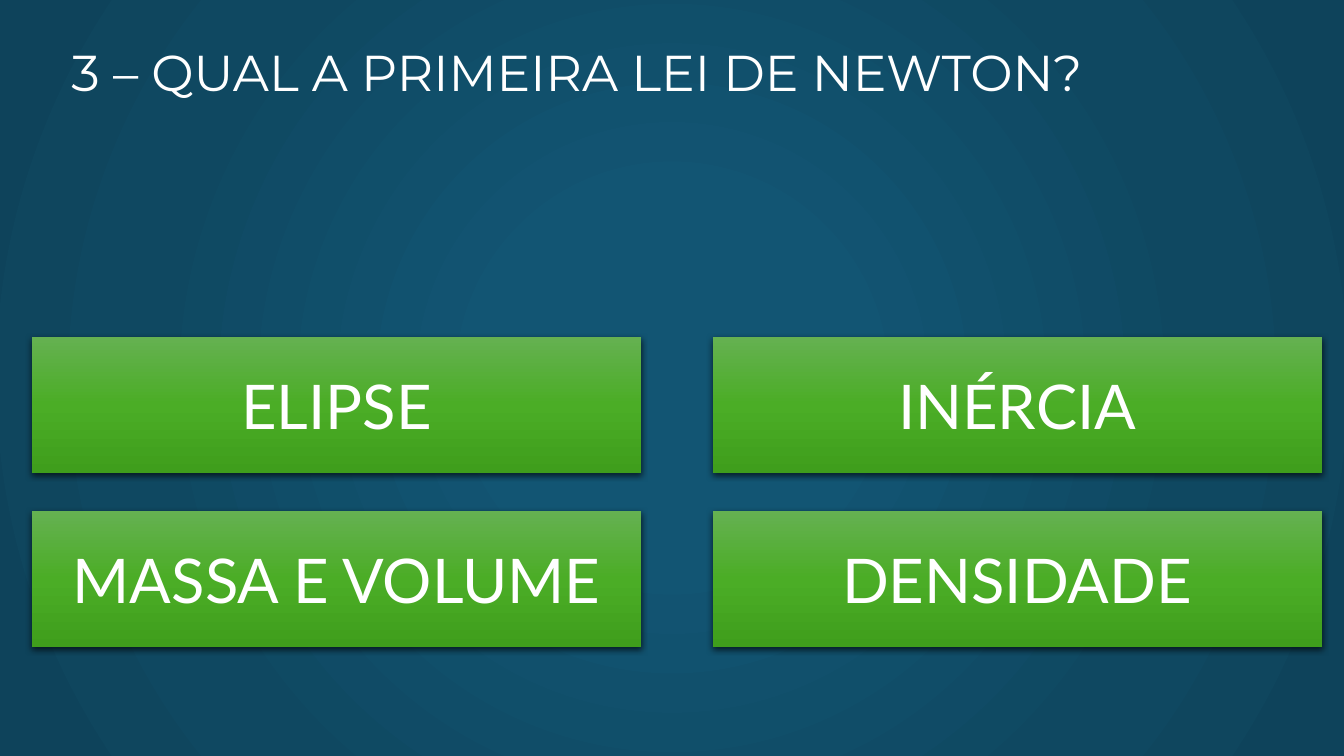
import lxml.etree
import pptx
import pptx.dml.color
import pptx.enum.shapes
import pptx.enum.text
import pptx.oxml.ns
import pptx.util

Inches = pptx.util.Inches
RGBColor = pptx.dml.color.RGBColor
qn = pptx.oxml.ns.qn
add = lxml.etree.SubElement

WHITE = RGBColor(0xFF, 0xFF, 0xFF)
BLACK = RGBColor(0x00, 0x00, 0x00)
BLUE = RGBColor(0x12, 0x55, 0x73)
DEEP = RGBColor(0x0F, 0x48, 0x61)
DARK = RGBColor(0x0E, 0x43, 0x5B)
LIGHT = RGBColor(0x65, 0xB1, 0x51)
GREEN = RGBColor(0x4B, 0xAD, 0x26)
MOSS = RGBColor(0x3F, 0x9E, 0x1C)


def write(frame, text, font, size, align, anchor):
    frame.word_wrap = True
    frame.vertical_anchor = anchor
    para = frame.paragraphs[0]
    para.alignment = align
    run = para.add_run()
    run.text = text
    run.font.name = font
    run.font.size = pptx.util.Pt(size)
    run.font.color.rgb = WHITE


def shade(fill, root, stops, radial=False):
    """Fill root with a gradient of (percent, colour) stops."""
    fill.gradient()
    grad = next(root.iter(qn("a:gradFill")))
    for child in list(grad):
        grad.remove(child)
    group = add(grad, qn("a:gsLst"))
    for pos, color in stops:
        stop = add(group, qn("a:gs"), pos=str(pos * 1000))
        add(stop, qn("a:srgbClr"), val=str(color))
    if radial:
        way = add(grad, qn("a:path"), path="circle")
        add(way, qn("a:fillToRect"), l="50000", t="50000", r="50000", b="50000")
    else:
        add(grad, qn("a:lin"), ang="5400000", scaled="0")


deck = pptx.Presentation()
deck.slide_width = Inches(13.33)
deck.slide_height = Inches(7.5)
slide = deck.slides.add_slide(deck.slide_layouts[6])
shade(slide.background.fill, slide.element,
      [(0, BLUE), (23, BLUE), (69, DEEP), (97, DARK), (100, DARK)], radial=True)

title = slide.shapes.add_textbox(Inches(0.61), Inches(0.36), Inches(11.91), Inches(0.71))
write(title.text_frame, "3 – QUAL A PRIMEIRA LEI DE NEWTON?", font="Montserrat", size=36,
      align=pptx.enum.text.PP_ALIGN.LEFT, anchor=pptx.enum.text.MSO_ANCHOR.TOP)

answers = [["ELIPSE", "INÉRCIA"], ["MASSA E VOLUME", "DENSIDADE"]]
for row, pair in enumerate(answers):
    for col, answer in enumerate(pair):
        card = slide.shapes.add_shape(
            pptx.enum.shapes.MSO_SHAPE.RECTANGLE,
            Inches(0.32 + 6.75 * col), Inches(3.34 + 1.73 * row), Inches(6.04), Inches(1.35))
        shade(card.fill, card.element, [(0, LIGHT), (50, GREEN), (100, MOSS)])
        card.line.fill.background()
        card.shadow.inherit = False
        effect = next(card.element.iter(qn("a:effectLst")))
        shadow = add(effect, qn("a:outerShdw"), blurRad=str(pptx.util.Pt(4.5)),
                     dist=str(pptx.util.Pt(1.5)), dir="5400000", algn="ctr", rotWithShape="0")
        tint = add(shadow, qn("a:srgbClr"), val=str(BLACK))
        add(tint, qn("a:alpha"), val="63000")
        write(card.text_frame, answer, font="Lato", size=44,
              align=pptx.enum.text.PP_ALIGN.CENTER, anchor=pptx.enum.text.MSO_ANCHOR.MIDDLE)

deck.save("out.pptx")
